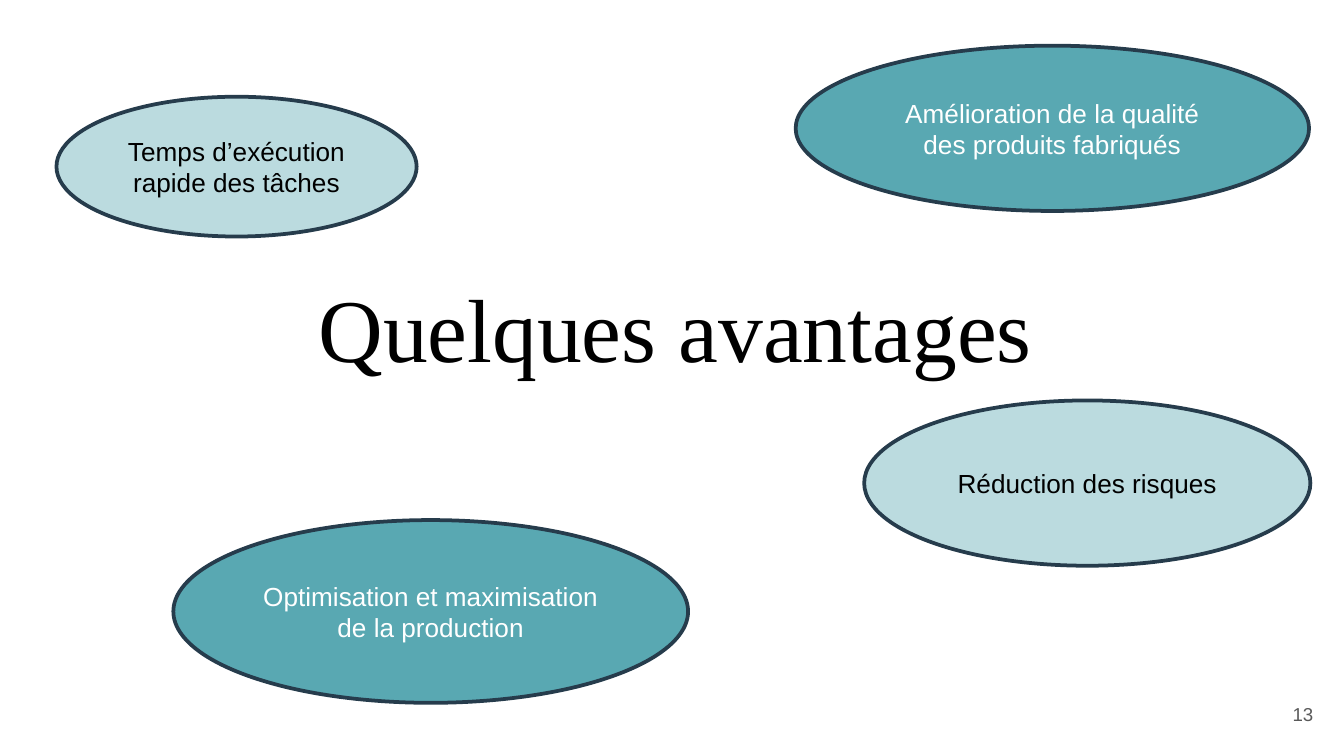
from pptx import Presentation
from pptx import util as u
from pptx.dml import color
from pptx.enum import shapes, text


def rgb(value):
    return color.RGBColor.from_string(value)


def write(box, words, font, size, ink, align, anchor):
    """Put one styled run in the box."""
    frame = box.text_frame
    frame.word_wrap = True
    frame.vertical_anchor = anchor
    para = frame.paragraphs[0]
    para.alignment = align
    span = para.add_run()
    span.text = words
    span.font.name = font
    span.font.size = u.Pt(size)
    span.font.color.rgb = rgb(ink)


deck = Presentation()
deck.slide_width = u.Inches(10)
deck.slide_height = u.Inches(10 * 9 / 16)
page = deck.slides.add_slide(deck.slide_layouts[6])

# Title
title = page.shapes.add_textbox(
    u.Inches(2.27), u.Inches(1.93), u.Inches(9.32), u.Inches(0.63))
write(title, "Quelques avantages", "Times New Roman", 48, "000000",
      text.PP_ALIGN.LEFT, text.MSO_ANCHOR.TOP)
title.text_frame.margin_top = u.Inches(0.1)

# Advantages around the title: words, (left, top, width, height), (fill, ink)
DARK = ("59A8B2", "FFFFFF")
LIGHT = ("BBDBDF", "000000")
advantages = [
    ("Optimisation et maximisation de la production", (1.29, 3.87, 3.83, 1.36), DARK),
    ("Temps d’exécution rapide des tâches", (0.42, 0.72, 2.68, 1.04), LIGHT),
    ("Amélioration de la qualité des produits fabriqués", (5.92, 0.34, 3.82, 1.23), DARK),
    ("Réduction des risques", (6.43, 2.98, 3.32, 1.23), LIGHT),
]
for words, place, (fill, ink) in advantages:
    oval = page.shapes.add_shape(
        shapes.MSO_SHAPE.OVAL, *[u.Inches(length) for length in place])
    oval.shadow.inherit = False
    oval.fill.solid()
    oval.fill.fore_color.rgb = rgb(fill)
    oval.line.color.rgb = rgb("263C4C")
    oval.line.width = u.Pt(2)
    write(oval, words, "Arial", 14, ink,
          text.PP_ALIGN.CENTER, text.MSO_ANCHOR.MIDDLE)

# Page number
number = page.shapes.add_textbox(
    u.Inches(9.27), u.Inches(5.1), u.Inches(0.6), u.Inches(0.43))
write(number, "13", "Arial", 10, "595959",
      text.PP_ALIGN.RIGHT, text.MSO_ANCHOR.MIDDLE)

deck.save("out.pptx")
